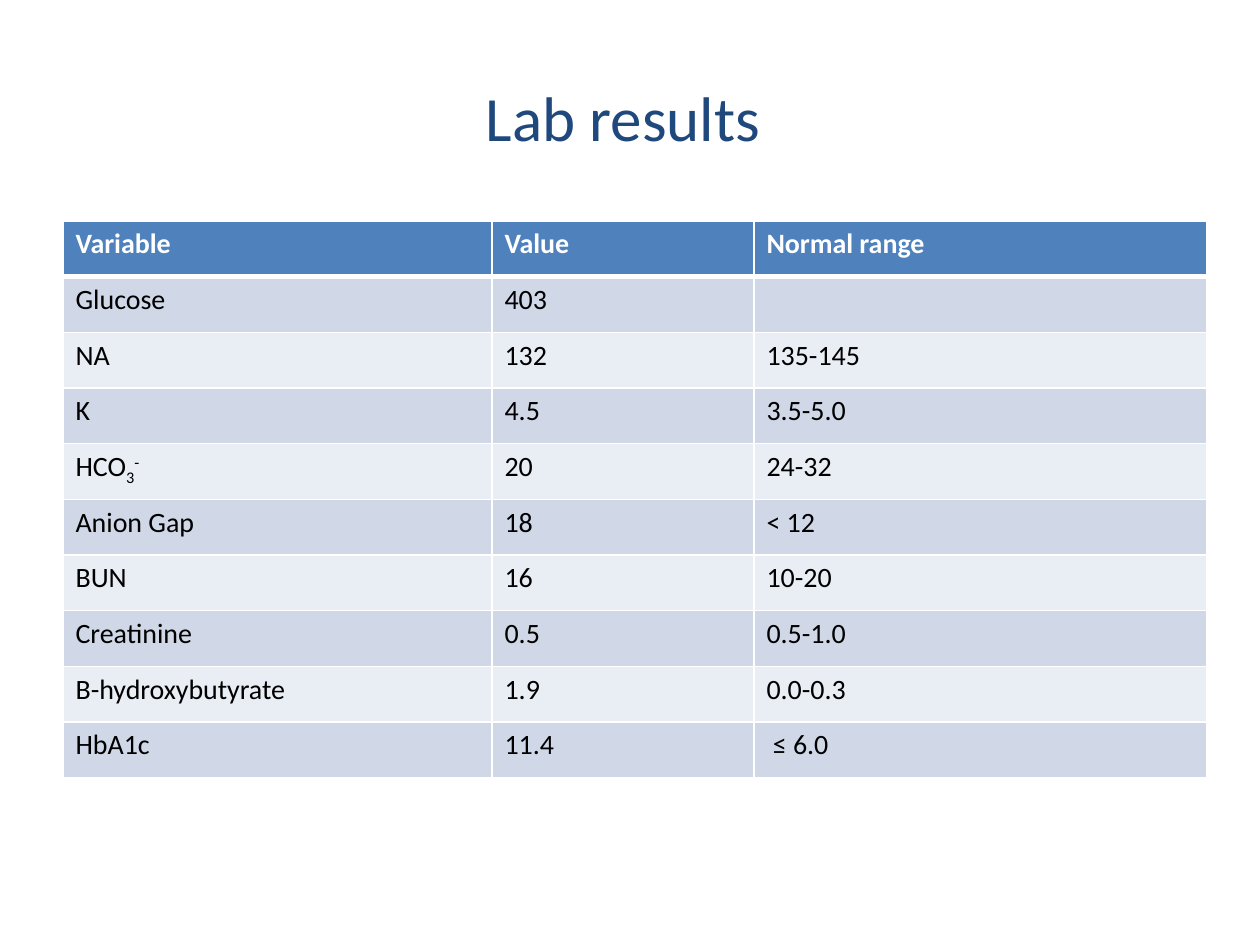
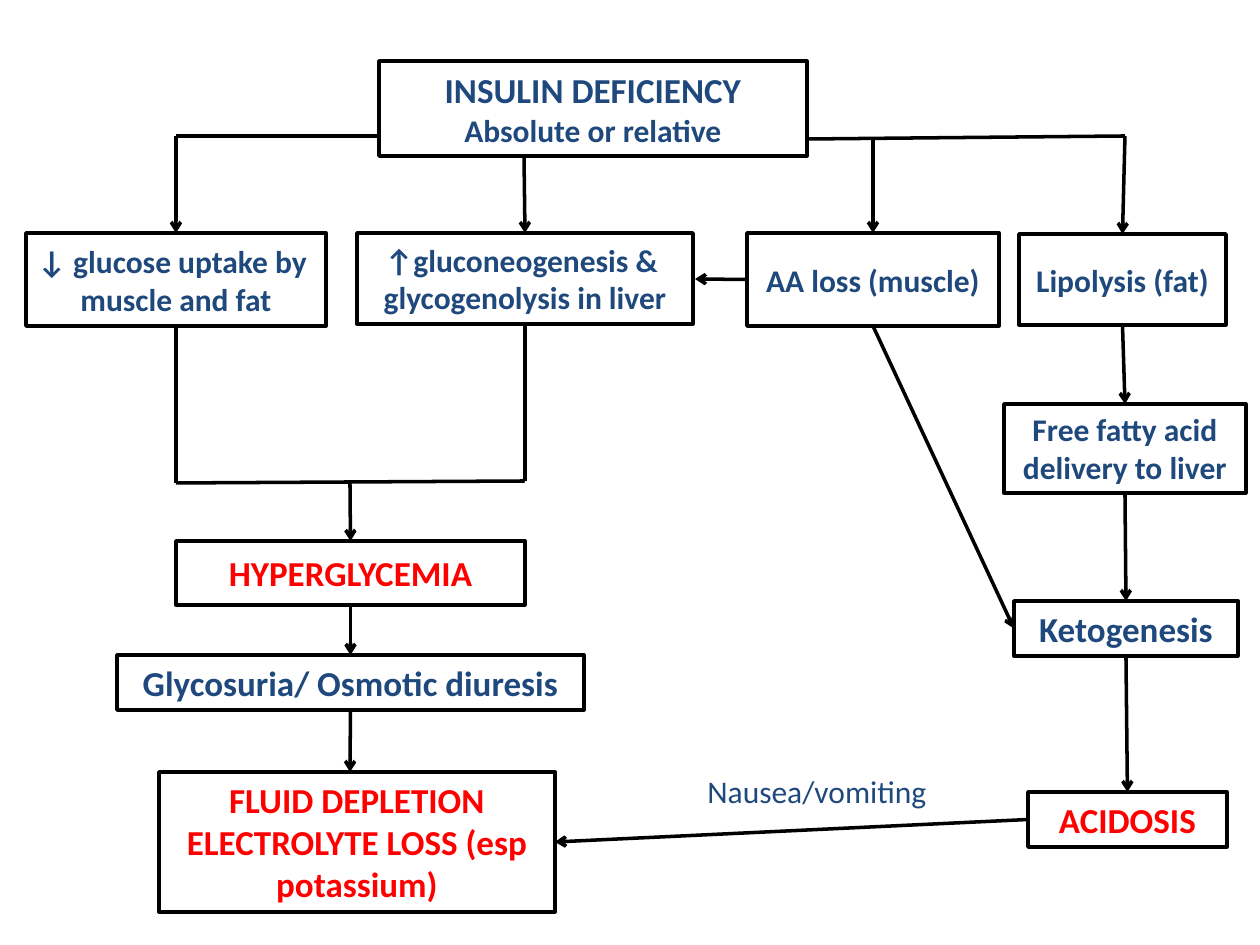
from lxml import etree
from pptx import Presentation
from pptx import util as u
from pptx.dml.color import RGBColor
from pptx.enum import shapes, text
from pptx.oxml import ns

PX_PER_INCH = 126
FONT = "Calibri"
NAVY = RGBColor(0x1F, 0x49, 0x7D)
RED = RGBColor(0xFF, 0x00, 0x00)
BLACK = RGBColor(0x00, 0x00, 0x00)
WHITE = RGBColor(0xFF, 0xFF, 0xFF)
HEADER_BLUE = RGBColor(0x4F, 0x81, 0xBD)
BANDS = (RGBColor(0xD0, 0xD8, 0xE8), RGBColor(0xE9, 0xED, 0xF4))
TOP, LEFT, BOTTOM, RIGHT = range(4)  # connection sites of a rectangle
CENTER, MIDDLE = text.PP_ALIGN.CENTER, text.MSO_ANCHOR.MIDDLE

LAB_COLUMNS = (429, 262, 453)
LAB_ROWS = (
    ("Variable", "Value", "Normal range"),
    ("Glucose", "403", ""),
    ("NA", "132", "135-145"),
    ("K", "4.5", "3.5-5.0"),
    ([("HCO", {}), ("3", {"baseline": -25}), ("-", {"baseline": 30})], "20", "24-32"),
    ("Anion Gap", "18", "< 12"),
    ("BUN", "16", "10-20"),
    ("Creatinine", "0.5", "0.5-1.0"),
    ("Β-hydroxybutyrate", "1.9", "0.0-0.3"),
    ("HbA1c", "11.4", " ≤ 6.0"),
)


def px(*lengths):
    return [round(length * u.Inches(1) / PX_PER_INCH) for length in lengths]


def write(frame, *lines, size=18, color=NAVY, bold=False, align=None, anchor=None, wrap=True):
    """Each line is a string or a list of (string, run overrides) pairs."""
    frame.word_wrap = wrap
    if anchor is not None:
        frame.vertical_anchor = anchor
    for number, line in enumerate(lines):
        paragraph = frame.add_paragraph() if number else frame.paragraphs[0]
        paragraph.alignment = align
        for words, overrides in [(line, {})] if isinstance(line, str) else line:
            run = paragraph.add_run()
            run.text = words
            run.font.name = FONT
            run.font.size = u.Pt(overrides.get("size", size))
            run.font.bold = bold
            run.font.color.rgb = color
            if "baseline" in overrides:
                run._r.get_or_add_rPr().set("baseline", str(overrides["baseline"] * 1000))


def add_text(slide, bounds, *lines, **text_format):
    write(slide.shapes.add_textbox(*px(*bounds)).text_frame, *lines, **text_format)


def add_box(slide, bounds, *lines, **text_format):
    box = slide.shapes.add_shape(shapes.MSO_SHAPE.RECTANGLE, *px(*bounds))
    box.shadow.inherit = False
    box.fill.solid()
    box.fill.fore_color.rgb = WHITE
    box.line.color.rgb = BLACK
    box.line.width = u.Pt(2)
    write(box.text_frame, *lines,
          **{"bold": True, "align": CENTER, "anchor": MIDDLE, **text_format})
    return box


def add_line(slide, start, end, arrow=True):
    """Join two ends, each an (x, y) point or a (box, side) pair."""
    points = [end_ if isinstance(end_[0], int) else (0, 0) for end_ in (start, end)]
    line = slide.shapes.add_connector(shapes.MSO_CONNECTOR.STRAIGHT, *px(*points[0], *points[1]))
    for end_, connect in ((start, line.begin_connect), (end, line.end_connect)):
        if not isinstance(end_[0], int):
            connect(*end_)
    line.line.color.rgb = BLACK
    line.line.width = u.Pt(2)
    if arrow:
        etree.SubElement(line.line._get_or_add_ln(), ns.qn("a:tailEnd"), type="arrow")
    etree.SubElement(line._element.spPr, ns.qn("a:effectLst"))


def set_borders(cell, **widths):
    """Give white borders, in points, to the sides L, R, T and B."""
    properties = cell._tc.get_or_add_tcPr()
    for position, side in enumerate("LRTB"):
        border = etree.Element(ns.qn(f"a:ln{side}"), w=str(u.Pt(widths.get(side, 1))))
        fill = etree.SubElement(border, ns.qn("a:solidFill"))
        etree.SubElement(fill, ns.qn("a:srgbClr"), val=str(WHITE))
        properties.insert(position, border)


def add_table(slide, bounds, rows, column_widths):
    table = slide.shapes.add_table(len(rows), len(column_widths), *px(*bounds)).table
    for column, width in zip(table.columns, px(*column_widths)):
        column.width = width
    for row_number, row in enumerate(rows):
        header = row_number == 0
        for column_number, content in enumerate(row):
            cell = table.cell(row_number, column_number)
            cell.fill.solid()
            cell.fill.fore_color.rgb = HEADER_BLUE if header else BANDS[(row_number - 1) % 2]
            set_borders(cell, T=3 if row_number == 1 else 1, B=3 if header else 1)
            write(cell.text_frame, content, size=16, bold=header,
                  color=WHITE if header else BLACK)


def build_lab_results(slide):
    add_text(slide, (63, 38, 1134, 157), "Lab results ", size=36, align=CENTER, anchor=MIDDLE)
    add_table(slide, (63, 221, sum(LAB_COLUMNS), 557), LAB_ROWS, LAB_COLUMNS)


def build_insulin_pathway(slide):
    top = text.MSO_ANCHOR.TOP
    add_box(slide, (379, 61, 428, 95), [("INSULIN DEFICIENCY", {"size": 20})],
            "Absolute or relative")
    uptake = add_box(slide, (26, 233, 300, 93), "↓ glucose uptake by ", "muscle and fat",
                     wrap=False)
    liver = add_box(slide, (357, 233, 336, 91), "↑gluconeogenesis & ",
                    "glycogenolysis in liver", wrap=False)
    muscle = add_box(slide, (747, 233, 252, 93), "AA loss (muscle)", wrap=False)
    lipolysis = add_box(slide, (1019, 234, 207, 91), "Lipolysis (fat)", wrap=False)
    hyperglycemia = add_box(slide, (176, 541, 349, 64), "HYPERGLYCEMIA", size=20, color=RED,
                            wrap=False)
    diuresis = add_box(slide, (117, 655, 467, 55), "Glycosuria/ Osmotic diuresis", size=20,
                       anchor=top)
    depletion = add_box(slide, (159, 772, 396, 140), "FLUID DEPLETION",
                        "ELECTROLYTE LOSS (esp potassium)", size=20, color=RED, anchor=top)
    fatty_acid = add_box(slide, (1004, 404, 242, 89), "Free fatty acid", "delivery to liver",
                         anchor=top)
    ketogenesis = add_box(slide, (1014, 601, 224, 55), "Ketogenesis", size=20, anchor=top)
    acidosis = add_box(slide, (1028, 792, 199, 55), "ACIDOSIS", size=20, color=RED, anchor=top)
    add_text(slide, (695, 766, 261, 50), "Nausea/vomiting")

    left_corner, right_corner = (176, 136), (1125, 136)
    left_join, right_join = (176, 483), (525, 481)
    for start, end in (
        (left_corner, (379, 136)),
        (right_corner, (807, 139)),
        ((uptake, BOTTOM), left_join),
        ((liver, BOTTOM), right_join),
        (left_join, right_join),
    ):
        add_line(slide, start, end, arrow=False)
    for start, end in (
        (left_corner, (uptake, TOP)),
        ((524, 156), (liver, TOP)),
        ((873, 139), (muscle, TOP)),
        (right_corner, (lipolysis, TOP)),
        ((muscle, LEFT), (695, 279)),
        ((350, 483), (hyperglycemia, TOP)),
        ((hyperglycemia, BOTTOM), (diuresis, TOP)),
        ((diuresis, BOTTOM), (350, 772)),
        ((lipolysis, BOTTOM), (fatty_acid, TOP)),
        ((fatty_acid, BOTTOM), (ketogenesis, TOP)),
        ((muscle, BOTTOM), (ketogenesis, LEFT)),
        ((ketogenesis, BOTTOM), (acidosis, TOP)),
        ((acidosis, LEFT), (depletion, RIGHT)),
    ):
        add_line(slide, start, end)


def main():
    presentation = Presentation()
    presentation.slide_width, presentation.slide_height = u.Inches(10), u.Inches(7.5)
    blank = presentation.slide_layouts[6]
    for build in (build_lab_results, build_insulin_pathway):
        build(presentation.slides.add_slide(blank))
    presentation.save("out.pptx")


if __name__ == "__main__":
    main()
